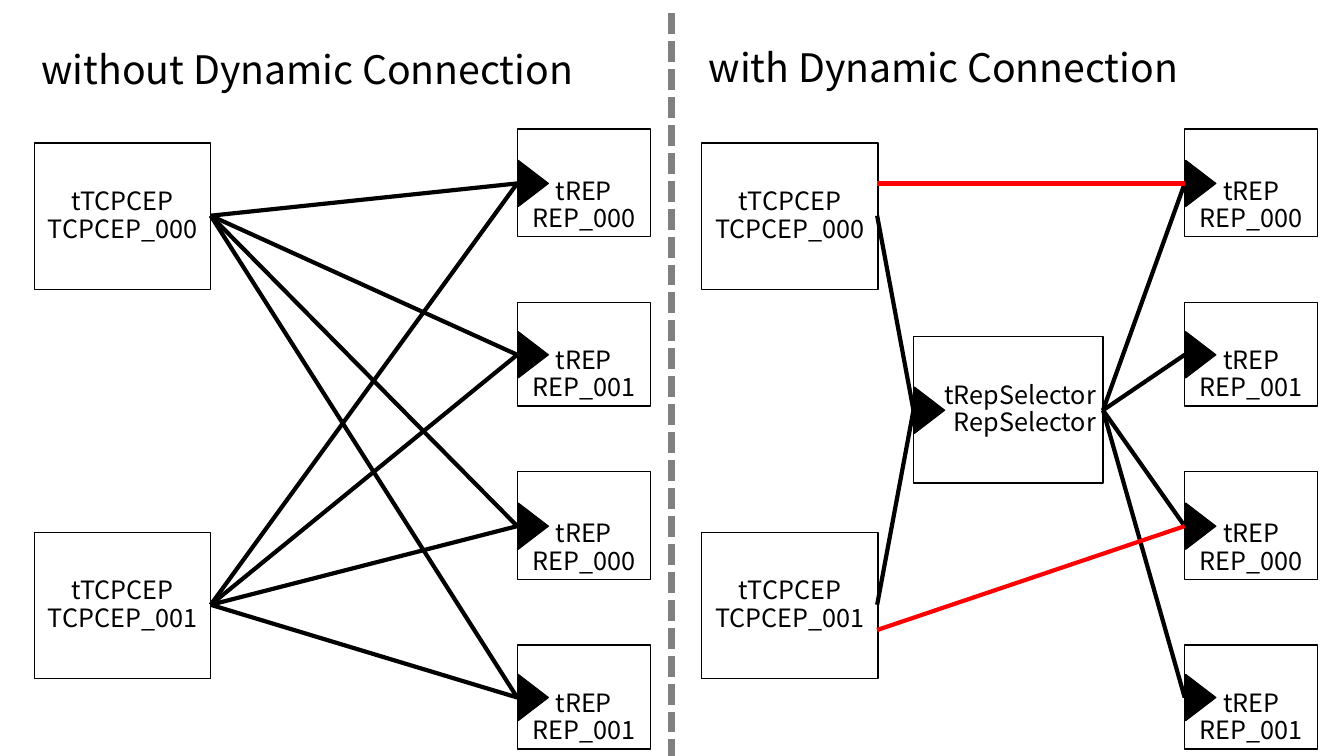
"""Compare call wiring without and with dynamic connection."""
import pptx
import pptx.dml.color
import pptx.enum.dml
import pptx.enum.shapes
import pptx.enum.text
import pptx.oxml.ns
import pptx.util
from lxml import etree

Inches, Pt = pptx.util.Inches, pptx.util.Pt
Shape = pptx.enum.shapes.MSO_SHAPE
Align = pptx.enum.text.PP_ALIGN
Anchor = pptx.enum.text.MSO_ANCHOR

theme = {
    "font": "Noto Sans CJK JP", "title": 28, "label": 18,
    "black": "000000", "white": "FFFFFF", "red": "FF0000", "gray": "808080",
}
color = {name: pptx.dml.color.RGBColor.from_string(theme[name])
         for name in ("black", "white", "red", "gray")}

deck = pptx.Presentation()
deck.slide_width, deck.slide_height = Inches(13.33), Inches(7.5)
slide = deck.slides.add_slide(deck.slide_layouts[6])
shapes = slide.shapes


def block(at, lines, kind=Shape.RECTANGLE, fill="white", edge=1, size="label",
          align=Align.CENTER, anchor=Anchor.MIDDLE):
    place = [Inches(v) for v in at]
    if kind is None:
        item = shapes.add_textbox(*place)
    else:
        item = shapes.add_shape(kind, *place)
        item.shadow.inherit = False
        item.fill.solid()
        item.fill.fore_color.rgb = color[fill]
        item.line.color.rgb = color["black"]
        item.line.width = Pt(edge)
    frame = item.text_frame
    frame.word_wrap = True
    frame.vertical_anchor = anchor
    frame.margin_left = frame.margin_right = Inches(0.07)
    frame.margin_top = frame.margin_bottom = Inches(0.04)
    for i, line in enumerate(lines):
        para = frame.add_paragraph() if i else frame.paragraphs[0]
        para.alignment = align
        para.line_spacing = 0.9
        run = para.add_run()
        run.text = line
        run.font.name = theme["font"]
        run.font.size = Pt(theme[size])
        run.font.color.rgb = color["black"]
    return item


def wire(start, end, tint="black", width=3):
    line = shapes.add_connector(pptx.enum.shapes.MSO_CONNECTOR.STRAIGHT,
                                *[Inches(v) for v in (*start, *end)])
    line.line.color.rgb = color[tint]
    line.line.width = Pt(width)
    etree.SubElement(line._element.spPr, pptx.oxml.ns.qn("a:effectLst"))
    return line


clients = [("TCPCEP_000", 1.42, 2.14), ("TCPCEP_001", 5.28, 6)]
reps = [("REP_000", 1.28, 1.07, 1.82), ("REP_001", 3, 1.03, 3.52),
        ("REP_000", 4.68, 1.07, 5.22), ("REP_001", 6.4, 1.03, 6.92)]
panels = [("without Dynamic Connection", 0.34, 5.13, -0.01),
          ("with Dynamic Connection", 6.96, 11.75, -0.03)]
hub_in, hub_out = (9.06, 4.07), (10.94, 4.07)
ports = [hub_in]

for title, left, right, top in panels:
    block((left, top, 6.11, 1.45), [title], kind=None, size="title", align=Align.LEFT)
    for name, y, port in clients:
        block((left, y, 1.75, 1.45), ["tTCPCEP", name])
    for name, y, high, port in reps:
        block((right, y, 1.32, high), ["tREP", name], anchor=Anchor.BOTTOM)
        ports.append((right, port))
block((9.06, 3.34, 1.88, 1.45), ["tRepSelector", "RepSelector"], align=Align.RIGHT)

for name, y, port in clients:
    wire((8.7, port), hub_in)
    for rep in reps:
        wire((2.09, port), (5.13, rep[3]))
for rep in reps:
    wire(hub_out, (11.75, rep[3]))

for x, y in ports:
    mark = block((x - 0.07, y - 0.15, 0.46, 0.3), [],
                 kind=Shape.ISOSCELES_TRIANGLE, fill="black", edge=0.75)
    mark.rotation = 90

for start, end in ((1.82, 1.82), (6.25, 5.22)):
    wire((8.7, start), (11.75, end), "red")

rule = wire((6.66, 0.13), (6.66, 7.5), "gray", 5)
rule.line.dash_style = pptx.enum.dml.MSO_LINE.SQUARE_DOT

deck.save("out.pptx")
